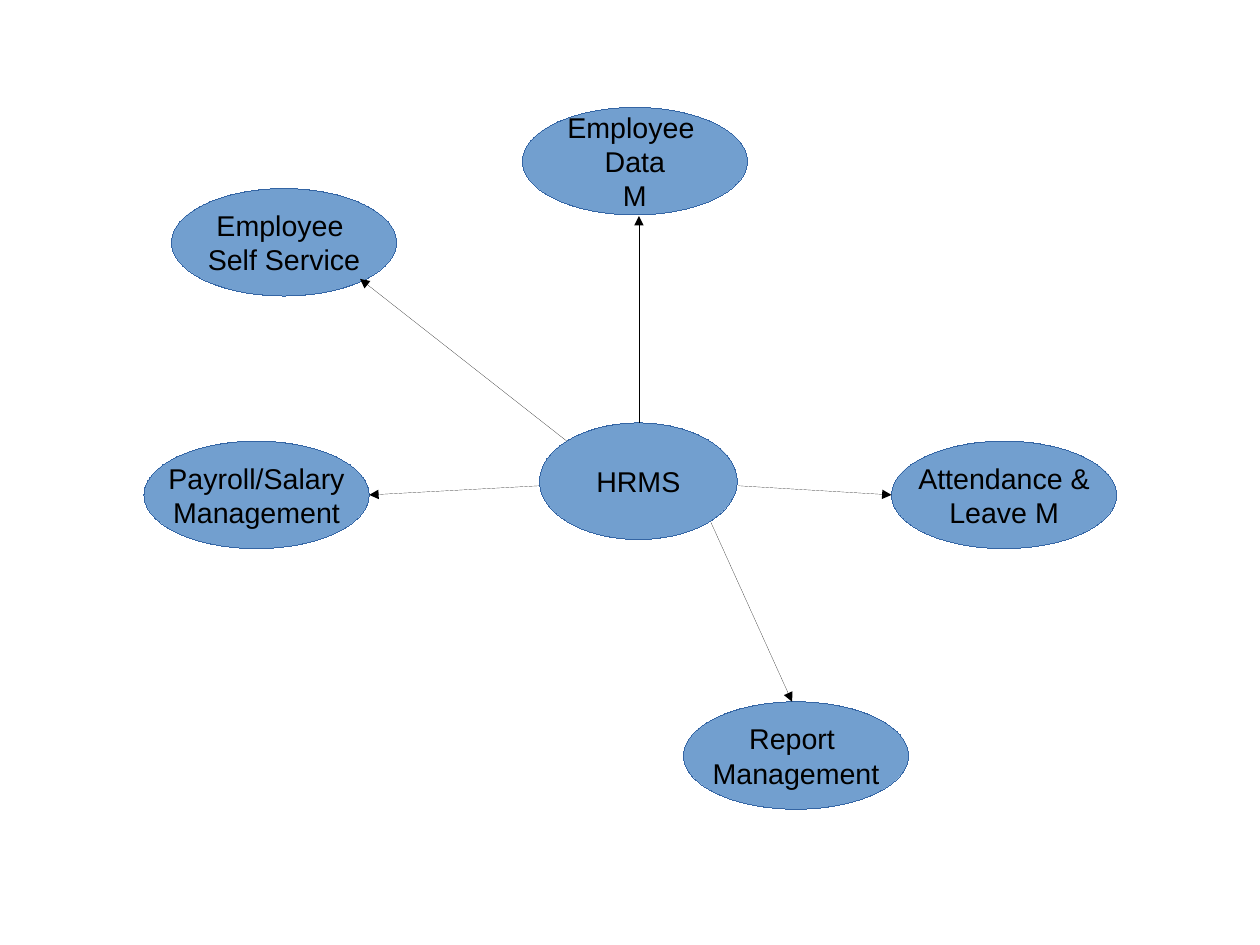
import pptx
import pptx.util
import pptx.dml.color
import pptx.enum.shapes
import pptx.enum.text
import pptx.oxml
import pptx.oxml.ns
from pptx.util import Inches


def rgb(value):
    return pptx.dml.color.RGBColor.from_string(value)


def hairline(line, color):
    line.color.rgb = rgb(color)
    ln = line._get_or_add_ln()
    ln.set("w", "0")
    return ln


prs = pptx.Presentation()
prs.slide_width = Inches(28 / 2.54)
prs.slide_height = Inches(21 / 2.54)
s = prs.slides.add_slide(prs.slide_layouts[6])

hub_size = (1.73, 1.02)
module_size = (1.97, 0.94)
ellipses = [
    (4.72, 3.7, hub_size, ["HRMS"]),
    (1.5, 1.65, module_size, ["Employee ", "Self Service"]),
    (4.57, 0.94, module_size, ["Employee ", "Data", "M"]),
    (7.8, 3.86, module_size, ["Attendance &", "Leave M"]),
    (1.26, 3.86, module_size, ["Payroll/Salary", "Management"]),
    (5.98, 6.14, module_size, ["Report ", "Management"]),
]
frame_format = {
    "margin_left": 0,
    "margin_top": 0,
    "margin_right": 0,
    "margin_bottom": 0,
    "word_wrap": False,
    "vertical_anchor": pptx.enum.text.MSO_ANCHOR.MIDDLE,
}
font_format = {"name": "Arial", "size": pptx.util.Pt(18)}

for left, top, (width, height), lines in ellipses:
    sp = s.shapes.add_shape(
        pptx.enum.shapes.MSO_SHAPE.OVAL,
        Inches(left), Inches(top), Inches(width), Inches(height),
    )
    sp.shadow.inherit = False
    sp.fill.solid()
    sp.fill.fore_color.rgb = rgb("729FCF")
    hairline(sp.line, "3465A4")
    tf = sp.text_frame
    for key, value in frame_format.items():
        setattr(tf, key, value)
    for i, line in enumerate(lines):
        p = tf.add_paragraph() if i else tf.paragraphs[0]
        p.alignment = pptx.enum.text.PP_ALIGN.CENTER
        r = p.add_run()
        r.text = line
        for key, value in font_format.items():
            setattr(r.font, key, value)
        r.font.color.rgb = rgb("000000")

arrows = [
    (5.59, 3.7, 5.59, 1.89),
    (6.46, 4.25, 7.8, 4.33),
    (6.22, 4.57, 6.93, 6.14),
    (4.72, 4.25, 3.23, 4.33),
    (4.96, 3.86, 3.15, 2.44),
]
for ends in arrows:
    arrow = s.shapes.add_connector(
        pptx.enum.shapes.MSO_CONNECTOR.STRAIGHT, *[Inches(v) for v in ends]
    )
    ln = hairline(arrow.line, "000000")
    ln.append(pptx.oxml.parse_xml(
        '<a:tailEnd %s type="triangle"/>' % pptx.oxml.ns.nsdecls("a")
    ))
    ln.getparent().append(pptx.oxml.parse_xml(
        "<a:effectLst %s/>" % pptx.oxml.ns.nsdecls("a")
    ))

prs.save("out.pptx")
